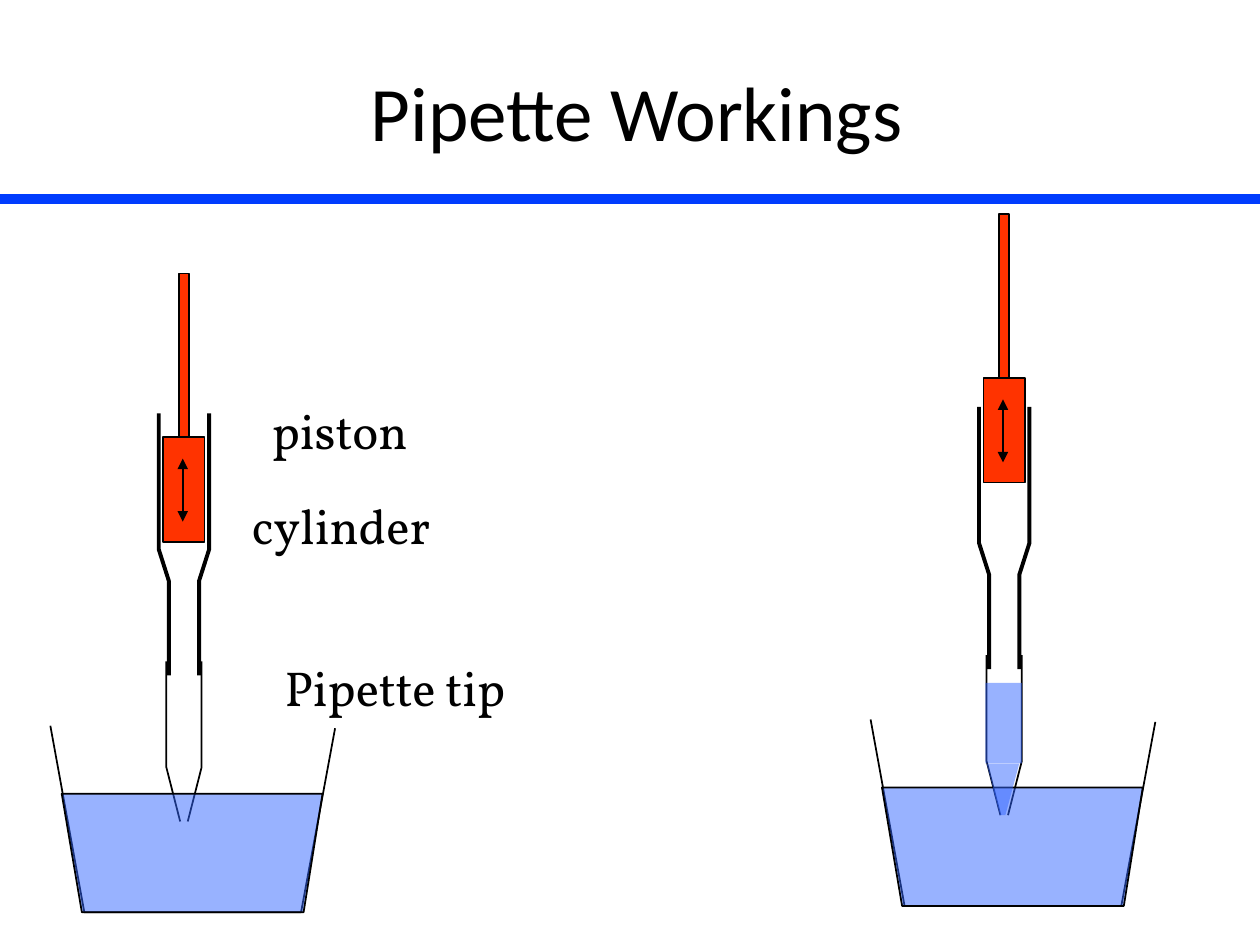
from dataclasses import dataclass

from pptx import Presentation
from pptx.dml.color import RGBColor
from pptx.enum.shapes import MSO_CONNECTOR as Connector, MSO_SHAPE as Shape
from pptx.enum.text import MSO_ANCHOR as Anchor, PP_ALIGN as Align
from pptx.oxml.ns import qn
from pptx.util import Inches, Pt
from lxml.etree import SubElement


@dataclass(frozen=True)
class Theme:
    ink: RGBColor = RGBColor(0x00, 0x00, 0x00)
    rule: RGBColor = RGBColor(0x00, 0x3C, 0xFE)
    piston: RGBColor = RGBColor(0xFF, 0x33, 0x00)
    liquid: RGBColor = RGBColor(0x33, 0x66, 0xFF)
    liquid_alpha: int = 50
    title_font: str = "Calibri"
    label_font: str = "Vollkorn"
    title_size: int = 44
    label_size: int = 28
    rule_width: float = 6
    wall_width: float = 2.25
    thin_width: float = 1


THEME = Theme()
AXIS = 1.06  # centre line of a pipette, from the left of its box


def style_text(paragraph, font, size):
    paragraph.font.name = font
    paragraph.font.size = Pt(size)
    paragraph.font.color.rgb = THEME.ink


def style_shape(shape, fill=None, alpha=None, line_width=None):
    shape.shadow.inherit = False
    if fill is None:
        shape.fill.background()
    else:
        shape.fill.solid()
        shape.fill.fore_color.rgb = fill
        if alpha is not None:
            color = shape.fill._xPr.find(qn("a:solidFill"))[0]
            SubElement(color, qn("a:alpha"), val=str(alpha * 1000))
    if line_width is None:
        shape.line.fill.background()
    else:
        shape.line.color.rgb = THEME.ink
        shape.line.width = Pt(line_width)


def add_line(shapes, start, end, color, width, arrows=False):
    line = shapes.add_connector(Connector.STRAIGHT, *map(Inches, start + end))
    line.line.color.rgb = color
    line.line.width = Pt(width)
    if arrows:
        for end_tag in ("a:headEnd", "a:tailEnd"):
            SubElement(line.line._get_or_add_ln(), qn(end_tag), type="triangle")
    SubElement(line._element.spPr, qn("a:effectLst"))


def add_outline(shapes, box, points, closed=False, **style):
    """Draw a path through points given relative to the box."""
    left, top = box
    start, *rest = [(Inches(left + x), Inches(top + y)) for x, y in points]
    builder = shapes.build_freeform(*start)
    builder.add_line_segments(rest, close=closed)
    style_shape(builder.convert_to_shape(), **style)


def add_rectangle(shapes, box, x, y, width, height, **style):
    left, top = box
    rectangle = shapes.add_shape(
        Shape.RECTANGLE, *map(Inches, (left + x, top + y, width, height)))
    style_shape(rectangle, **style)


def add_header(slide):
    title = slide.shapes.title
    title.left, title.top, title.width, title.height = map(
        Inches, (0.5, 0.25, 9.25, 1.25))
    title.text_frame.text = "Pipette Workings "
    title.text_frame.vertical_anchor = Anchor.MIDDLE
    heading = title.text_frame.paragraphs[0]
    heading.alignment = Align.CENTER
    style_text(heading, THEME.title_font, THEME.title_size)
    add_line(slide.shapes, (0, 1.58), (10, 1.58), THEME.rule, THEME.rule_width)


def add_walls(shapes, box, profile, width):
    """Draw a profile of (distance from axis, y) on both sides of the axis."""
    for side in (-1, 1):
        wall = [(AXIS + side * distance, y) for distance, y in profile]
        add_outline(shapes, box, wall, line_width=width)


def add_piston(shapes, box, lift):
    left, top = box[0], box[1] - lift
    parts = shapes.add_group_shape().shapes
    for y, width, height in ((-1.11, 0.08, 1.33), (0.19, 0.33, 0.83)):
        add_rectangle(parts, (left, top), AXIS - width / 2, y, width, height,
                      fill=THEME.piston, line_width=THEME.thin_width)
    center = left + AXIS - 0.01
    add_line(parts, (center, top + 0.36), (center, top + 0.86),
             THEME.ink, THEME.thin_width, arrows=True)


def add_beaker(shapes, box):
    glass = [(0, 2.48), (0.27, 3.96), (1.99, 3.96), (2.26, 2.5)]
    water = [(0.09, 3.02), (0.25, 3.96), (2.01, 3.96), (2.16, 3.02)]
    add_outline(shapes, box, glass, line_width=THEME.thin_width)
    add_outline(shapes, box, water, closed=True, fill=THEME.liquid,
                alpha=THEME.liquid_alpha, line_width=THEME.thin_width)


def add_drawn_liquid(shapes, box):
    liquid = {"fill": THEME.liquid, "alpha": THEME.liquid_alpha}
    cone = [(0.92, 2.83), (1.03, 3.24), (1.07, 3.24), (1.18, 2.83)]
    add_outline(shapes, box, cone, closed=True, **liquid)
    add_rectangle(shapes, box, 0.91, 2.19, 0.29, 0.64, **liquid)


def add_pipette(shapes, box, lift=0, filled=False):
    """Draw a pipette over its beaker; box is its left and cylinder top."""
    cylinder = [(0.2, 0), (0.2, 1.08), (0.12, 1.33), (0.12, 2.08)]
    tip = [(0.14, 1.97), (0.14, 2.81), (0.03, 3.24)]
    add_walls(shapes, box, cylinder, THEME.wall_width)
    add_piston(shapes, box, lift)
    add_walls(shapes, box, tip, THEME.thin_width)
    add_beaker(shapes, box)
    if filled:
        add_drawn_liquid(shapes, box)


def add_labels(shapes, box):
    left, top = box
    for text, x, y, width in (("piston", 1.66, -0.15, 1.28),
                              ("cylinder", 1.5, 0.6, 1.62),
                              ("Pipette tip", 1.76, 1.89, 1.98)):
        label = shapes.add_textbox(
            *map(Inches, (left + x, top + y, width, 0.57)))
        label.text_frame.word_wrap = False
        label.text_frame.text = text
        style_text(label.text_frame.paragraphs[0],
                   THEME.label_font, THEME.label_size)


def main():
    deck = Presentation()
    deck.slide_width, deck.slide_height = Inches(10), Inches(7.5)
    slide = deck.slides.add_slide(deck.slide_layouts[5])
    empty_box, filled_box = (0.4, 3.28), (6.91, 3.23)
    add_header(slide)
    add_pipette(slide.shapes, empty_box)
    add_labels(slide.shapes, empty_box)
    add_pipette(slide.shapes, filled_box, lift=0.42, filled=True)
    deck.save("out.pptx")


if __name__ == "__main__":
    main()
